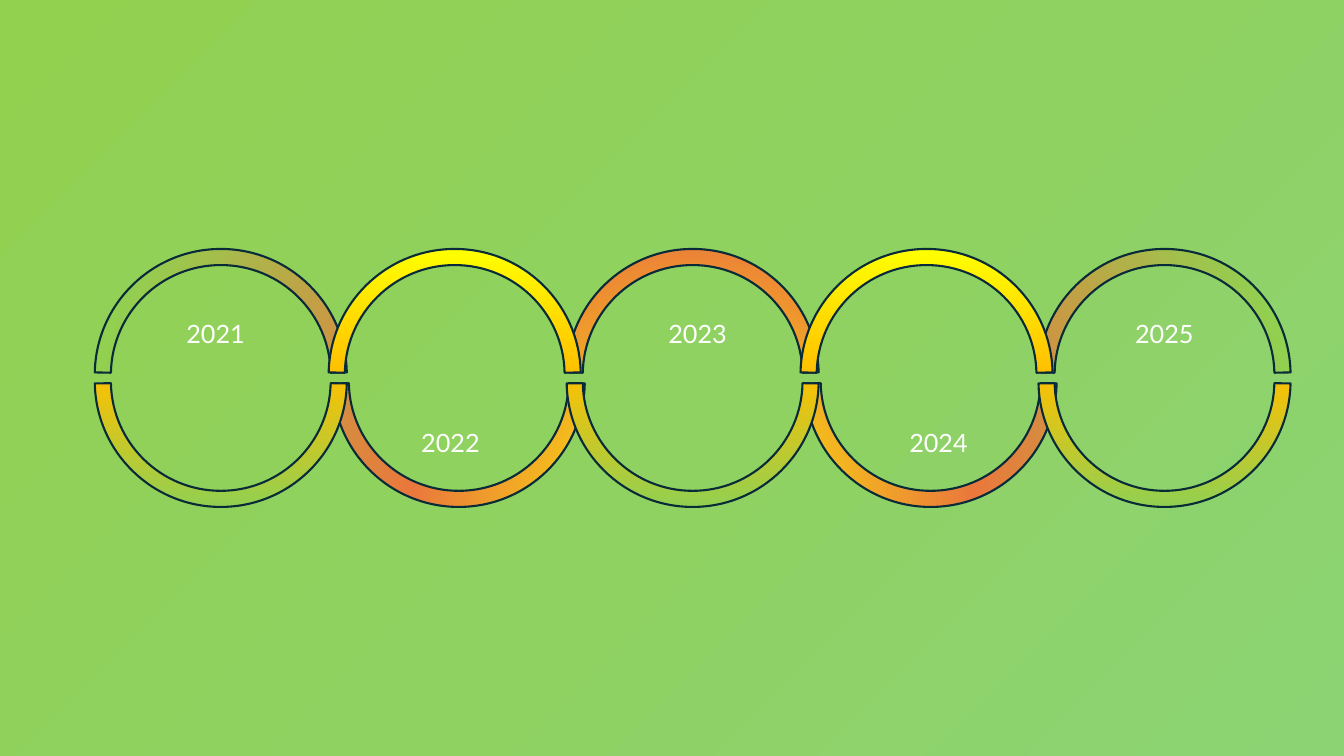
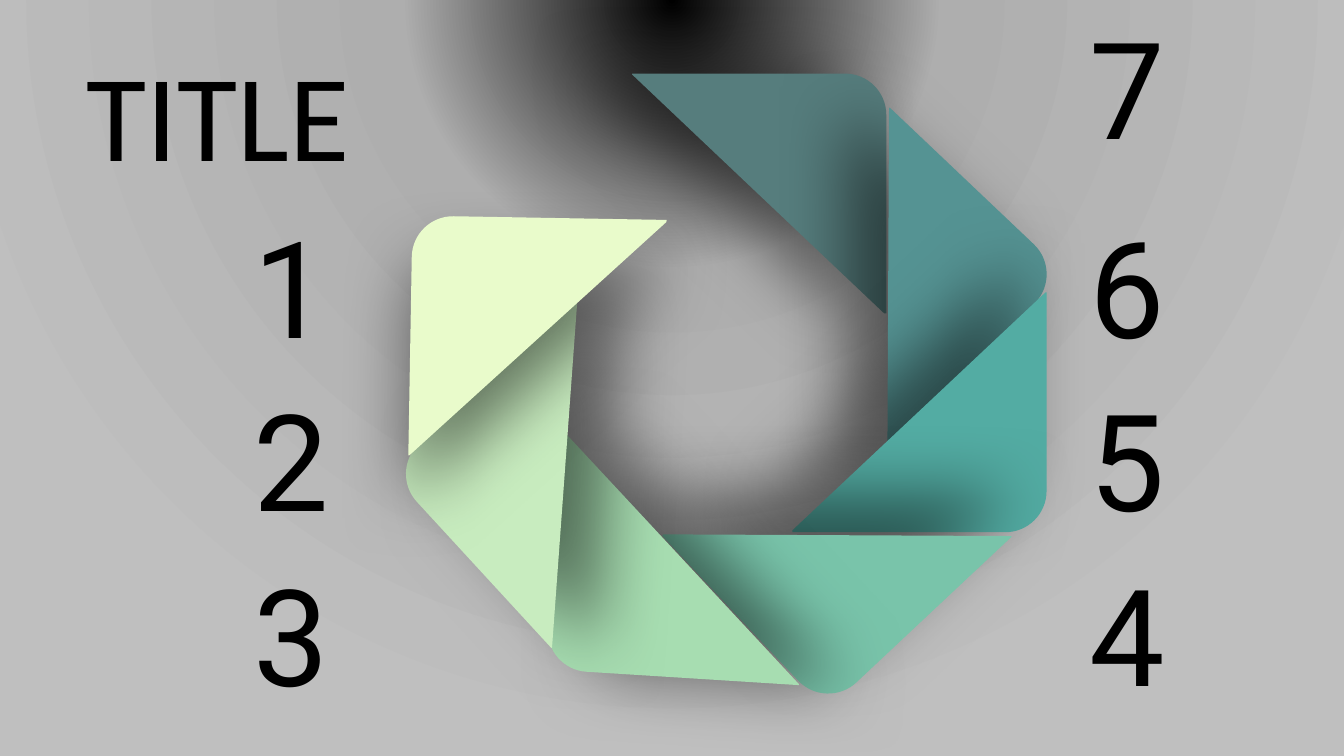
"""Build a ring timeline and a folded seven-part wheel."""
from math import cos, pi, sin, tan

from lxml.etree import SubElement
from pptx import Presentation
from pptx.dml.color import RGBColor
from pptx.oxml.ns import qn
from pptx.util import Inches, Pt

WIDE, HIGH = 13.33, 7.5
BLACK = RGBColor(0x00, 0x00, 0x00)
WHITE = RGBColor(0xFF, 0xFF, 0xFF)
NAVY = RGBColor(0x09, 0x2A, 0x39)
YELLOW = RGBColor(0xFF, 0xFF, 0x00)
AMBER = RGBColor(0xFF, 0xC0, 0x00)
ORANGE = RGBColor(0xEA, 0x78, 0x3C)
GREEN = RGBColor(0x92, 0xD0, 0x50)
LEAF = RGBColor(0x8F, 0xD2, 0x62)
MINT = RGBColor(0x8C, 0xD3, 0x74)
ASH = RGBColor(0xAE, 0xAE, 0xAE)
SILVER = RGBColor(0xBF, 0xBF, 0xBF)
SLATE = RGBColor(0x56, 0x7D, 0x7D)
TEAL = RGBColor(0x55, 0x93, 0x93)
SEA = RGBColor(0x53, 0xAC, 0xA3)
JADE = RGBColor(0x79, 0xC4, 0xAA)
FERN = RGBColor(0xA7, 0xDD, 0xB1)
PALE = RGBColor(0xC8, 0xEC, 0xBF)
CREAM = RGBColor(0xE9, 0xFB, 0xCB)

FIRST, PITCH, RINGS = 2.19, 2.34, 5
OUTER, INNER, LIFT, SHIFT = 1.25, 1.09, 0.03, 0.02
YEAR_LEFTS = (1.75, 4.08, 6.53, 8.92, 11.16)
YEAR_TOPS = (3.11, 4.19)

LONG, SHORT, ROUND = 2.52, 2.38, 0.41
PETALS = (
    (6.34, 0.66, SHORT, LONG, 90, SLATE, 180),
    (7.56, 1.61, LONG, SHORT, 133.5, TEAL, 180),
    (7.86, 2.9, LONG, SHORT, 180, SEA, 225),
    (7.11, 4.06, SHORT, LONG, 226.8, JADE, 270),
    (5.55, 4.27, SHORT, LONG, 273.6, FERN, 0),
    (4.33, 3.51, LONG, SHORT, 317.4, PALE, 0),
    (4.07, 2.16, LONG, SHORT, 1, CREAM, 90),
)
ROWS = (0, 1.98, 3.69, 5.43)
COLUMNS = ((2.42, ROWS[1:], "123"), (10.71, ROWS, "7654"))


def add_tint(host, tint, alpha=100):
    color = SubElement(host, qn("a:srgbClr"), val=str(tint))
    if alpha < 100:
        SubElement(color, qn("a:alpha"), val=str(alpha * 1000))


def shade(fill, root, stops, focus=None):
    """Blend stops around a focus box, or from top to bottom without one."""
    fill.gradient()
    grad = root.find(".//" + qn("a:gradFill"))
    for child in list(grad):
        grad.remove(child)
    group = SubElement(grad, qn("a:gsLst"))
    for place, *tint in stops:
        add_tint(SubElement(group, qn("a:gs"), pos=str(place * 1000)), *tint)
    if focus:
        circle = SubElement(grad, qn("a:path"))
        circle.set("path", "circle")
        sides = {side: str(share * 1000) for side, share in zip("ltrb", focus)}
        SubElement(circle, qn("a:fillToRect"), **sides)
    else:
        SubElement(grad, qn("a:lin"), ang="5400000", scaled="0")


def add_slide(deck, stops, focus):
    slide = deck.slides.add_slide(deck.slide_layouts[6])
    shade(slide.background.fill, slide.element, stops, focus)
    return slide


def add_text(slide, text, box, size, font, color):
    frame = slide.shapes.add_textbox(*map(Inches, box)).text_frame
    frame.word_wrap = True
    frame.text = text
    style = frame.paragraphs[0].runs[0].font
    style.size, style.name = Pt(size), font
    style.color.rgb = color


def arc(x, y, radius, start, end, parts=1):
    """Return curve points as x, y and whether a curve ends there."""
    step = (end - start) / parts
    pull = 4 / 3 * tan(step / 4)

    def spot(turn, lean, ends):
        return (x + radius * (cos(turn) - lean * sin(turn)),
                y + radius * (sin(turn) + lean * cos(turn)), ends)

    points = [spot(start, 0, False)]
    for i in range(parts):
        turn = start + step * i
        points += [spot(turn, pull, False), spot(turn + step, -pull, False),
                   spot(turn + step, 0, True)]
    return points


def bend(outline, loop):
    """Turn each marked point and the two before it into one curve."""
    nodes = [node for node in outline if node.tag != qn("a:close")]
    for i, (x, y, ends) in enumerate(loop):
        if ends:
            nodes[i].tag = qn("a:cubicBezTo")
            for guide in (nodes[i - 1], nodes[i - 2]):
                nodes[i].insert(0, guide[0])
                outline.remove(guide)


def add_outline(slide, loops):
    """Draw closed loops of points as one freeform."""
    build = None
    for loop in loops:
        points = [(Inches(x), Inches(y)) for x, y, ends in loop]
        if build:
            build.move_to(*points[0])
        else:
            build = slide.shapes.build_freeform(*points[0], scale=1.0)
        build.add_line_segments(points[1:], close=True)
    shape = build.convert_to_shape()
    bend(shape.element.find(".//" + qn("a:path")), sum(loops, []))
    shape.shadow.inherit = False
    return shape


def half_ring(index, upper, shift):
    x = FIRST + PITCH * index + shift * (index % 2)
    side = -1 if upper else 1
    y = HIGH / 2 + side * LIFT
    start, end = side * 0.02, side * (pi - 0.02)
    return arc(x, y, OUTER, start, end, 2) + arc(x, y, INNER, end, start, 2)


def add_chain(slide, parity, shift, stops, focus=None):
    """Draw half rings that switch between upper and lower."""
    loops = [half_ring(i, i % 2 == parity, shift) for i in range(RINGS)]
    shape = add_outline(slide, loops)
    shade(shape.fill, shape.element, stops, focus)
    shape.line.color.rgb = NAVY
    shape.line.width = Pt(1.5)


def add_petal(slide, left, top, width, height, turn, color, aim):
    """Draw a turned right triangle with one round corner and a shadow."""
    right, base = left + width, top + height
    corner = arc(left + ROUND, top + ROUND, ROUND, pi, 1.5 * pi)
    tips = [(right, top, False), (right, top + 0.02, False),
            (left + 0.01, base, False), (left, base, False)]
    shape = add_outline(slide, [corner + tips])
    shape.rotation = turn
    shape.fill.solid()
    shape.fill.fore_color.rgb = color
    shape.line.fill.background()
    effects = shape.element.spPr.find(qn("a:effectLst"))
    shadow = SubElement(effects, qn("a:outerShdw"), blurRad=str(Pt(50)),
                        dist=str(Pt(30)), dir=str(aim * 60000), rotWithShape="0")
    add_tint(shadow, BLACK, 50)


def add_years(deck):
    slide = add_slide(deck, ((0, MINT), (45, LEAF), (100, GREEN, 50)),
                      (100, 100, 0, 0))
    add_chain(slide, 0, SHIFT, ((0, YELLOW), (46, ORANGE), (100, GREEN)),
              (50, 130, 50, -30))
    add_chain(slide, 1, -SHIFT, ((0, YELLOW), (48, AMBER), (100, GREEN)))
    for i, left in enumerate(YEAR_LEFTS):
        box = (left, YEAR_TOPS[i % 2], 0.84, 0.4)
        add_text(slide, str(2021 + i), box, 18, "Lato", WHITE)


def add_wheel(deck):
    slide = add_slide(deck, ((0, BLACK), (35, ASH), (100, SILVER)),
                      (50, -80, 50, 180))
    for petal in PETALS:
        add_petal(slide, *petal)
    add_text(slide, "TITLE", (0.76, 0.33, 4.31, 1.58), 88, "Calibri", BLACK)
    for left, tops, digits in COLUMNS:
        for top, digit in zip(tops, digits):
            add_text(slide, digit, (left, top, 0.96, 1.72), 96, "Roboto", BLACK)


def main():
    deck = Presentation()
    deck.slide_width, deck.slide_height = Inches(WIDE), Inches(HIGH)
    add_years(deck)
    add_wheel(deck)
    deck.save("out.pptx")


if __name__ == "__main__":
    main()
